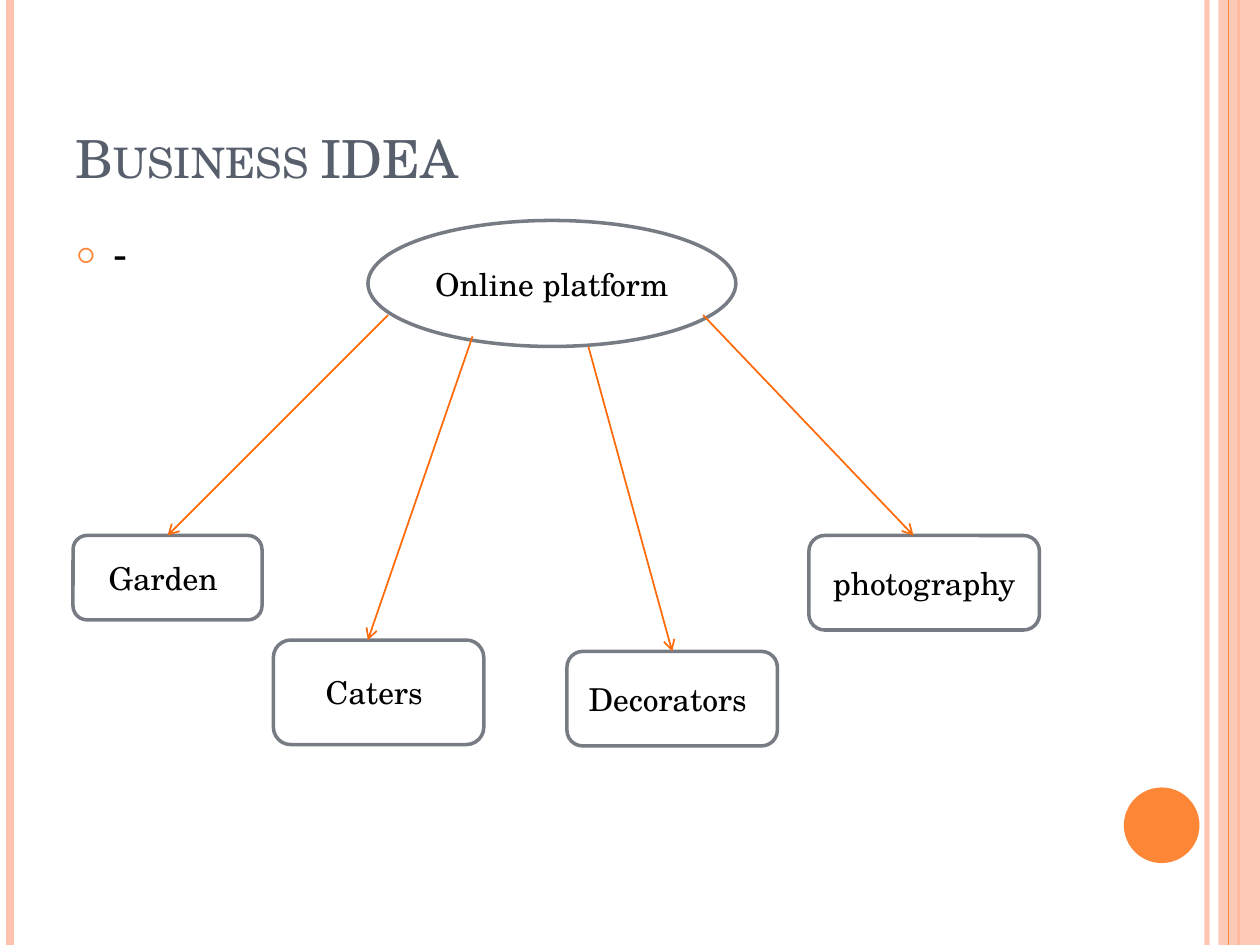
from lxml import etree
from pptx import Presentation
from pptx.dml.color import RGBColor
from pptx.enum.shapes import MSO_CONNECTOR, MSO_SHAPE
from pptx.enum.text import MSO_ANCHOR, PP_ALIGN
from pptx.oxml.ns import qn
from pptx.util import Inches, Pt

STRAIGHT = MSO_CONNECTOR.STRAIGHT
RECT, OVAL, ROUNDED = MSO_SHAPE.RECTANGLE, MSO_SHAPE.OVAL, MSO_SHAPE.ROUNDED_RECTANGLE
TOP, MIDDLE, BOTTOM = MSO_ANCHOR.TOP, MSO_ANCHOR.MIDDLE, MSO_ANCHOR.BOTTOM
CENTER = PP_ALIGN.CENTER
TOP_SIDE = 0
FONT = "TeX Gyre Schola"
COLORS = {
    "white": "FFFFFF", "black": "000000", "title": "575F6D", "outline": "777C84",
    "peach": "FEC3AE", "orange": "FE8637", "arrow": "FF6B0A",
}

# x, colour, width in points, opacity in percent
BACK_RULES = [
    (9.58, "peach", 3, 93),
    (0.08, "peach", 4.5, 100),
    (9.83, "orange", 1.5, 100),
]
FRONT_RULES = [(9.75, "orange", 0.75, 100)]

# text, box, arrow start, arrow end (None: middle of the top side)
SERVICES = [
    ("Garden ", (0.58, 4.25, 1.5, 0.67), (3.08, 2.5), None),
    ("Caters ", (2.17, 5.08, 1.67, 0.83), (3.75, 2.67), (2.92, 5.08)),
    ("Decorators ", (4.5, 5.17, 1.67, 0.75), (4.67, 2.75), None),
    ("photography", (6.42, 4.25, 1.83, 0.75), (5.58, 2.5), (7.25, 4.25)),
]


def rgb(name):
    return RGBColor.from_string(COLORS[name])


def set_opacity(element, percent):
    """Set the opacity of the first plain colour inside element."""
    color = element.find(".//" + qn("a:srgbClr"))
    etree.SubElement(color, qn("a:alpha"), val=str(percent * 1000))


def add_line(slide, start, end, color, width):
    line = slide.shapes.add_connector(STRAIGHT, *map(Inches, start + end))
    line.line.color.rgb = rgb(color)
    line.line.width = Pt(width)
    etree.SubElement(line._element.spPr, qn("a:effectLst"))
    return line


def add_rules(slide, rules):
    """Draw full-height vertical lines."""
    for x, color, width, opacity in rules:
        rule = add_line(slide, (x, 0), (x, 7.5), color, width)
        if opacity < 100:
            set_opacity(rule.line._get_or_add_ln(), opacity)


def add_shape(slide, kind, box, fill, outline=None):
    sp = slide.shapes.add_shape(kind, *map(Inches, box))
    sp.shadow.inherit = False
    sp.fill.solid()
    sp.fill.fore_color.rgb = rgb(fill)
    if outline:
        sp.line.color.rgb = rgb(outline)
        sp.line.width = Pt(2)
    else:
        sp.line.fill.background()
    return sp


def write(sp, text, size, color, anchor):
    tf = sp.text_frame
    tf.word_wrap = True
    tf.vertical_anchor = anchor
    p = tf.paragraphs[0]
    r = p.add_run()
    r.text = text
    for name, value in {"name": FONT, "size": Pt(size)}.items():
        setattr(r.font, name, value)
    r.font.color.rgb = rgb(color)
    return p, r


def add_text(slide, box, text, size, color, anchor):
    sp = slide.shapes.add_textbox(*map(Inches, box))
    return write(sp, text, size, color, anchor)


def add_bullet(p):
    """Give the paragraph a hanging circle bullet."""
    pPr = p._p.get_or_add_pPr()
    pPr.set("marL", str(Inches(0.3)))
    pPr.set("indent", str(Inches(-0.3)))
    color = etree.SubElement(pPr, qn("a:buClr"))
    etree.SubElement(color, qn("a:srgbClr"), val=COLORS["orange"])
    etree.SubElement(pPr, qn("a:buSzPct"), val="70000")
    etree.SubElement(pPr, qn("a:buFont"), typeface=FONT)
    etree.SubElement(pPr, qn("a:buChar"), char="○")


def add_node(slide, kind, box, text):
    node = add_shape(slide, kind, box, "white", "outline")
    p, _ = write(node, text, 18, "black", MIDDLE)
    p.alignment = CENTER
    return node


def add_arrow(slide, start, end, node):
    """Point an arrow at end, or join it to the top of node."""
    arrow = add_line(slide, start, end or start, "arrow", 1)
    if end is None:
        arrow.end_connect(node, TOP_SIDE)
    etree.SubElement(arrow.line._get_or_add_ln(), qn("a:tailEnd"), type="arrow")


def add_frame(slide):
    """Draw the decoration at the slide's edges."""
    add_rules(slide, BACK_RULES)
    band = add_shape(slide, RECT, (9.67, 0, 0.33, 7.5), "peach")
    set_opacity(band._element.spPr, 87)
    add_rules(slide, FRONT_RULES)
    add_shape(slide, OVAL, (8.92, 6.25, 0.6, 0.6), "orange")


def main():
    prs = Presentation()
    prs.slide_width, prs.slide_height = Inches(10), Inches(7.5)
    slide = prs.slides.add_slide(prs.slide_layouts[6])

    add_frame(slide)
    _, r = add_text(slide, (0.5, 0.3, 8.17, 1.25), "Business IDEA", 30, "title", BOTTOM)
    r._r.get_or_add_rPr().set("cap", "small")
    p, _ = add_text(slide, (0.5, 1.75, 8.17, 5.33), "-", 24, "black", TOP)
    add_bullet(p)

    add_node(slide, OVAL, (2.92, 1.75, 2.92, 1), "Online platform ")
    nodes = [add_node(slide, ROUNDED, box, text) for text, box, _, _ in SERVICES]
    for node, (_, _, start, end) in zip(nodes, SERVICES):
        add_arrow(slide, start, end, node)

    prs.save("out.pptx")


if __name__ == "__main__":
    main()
